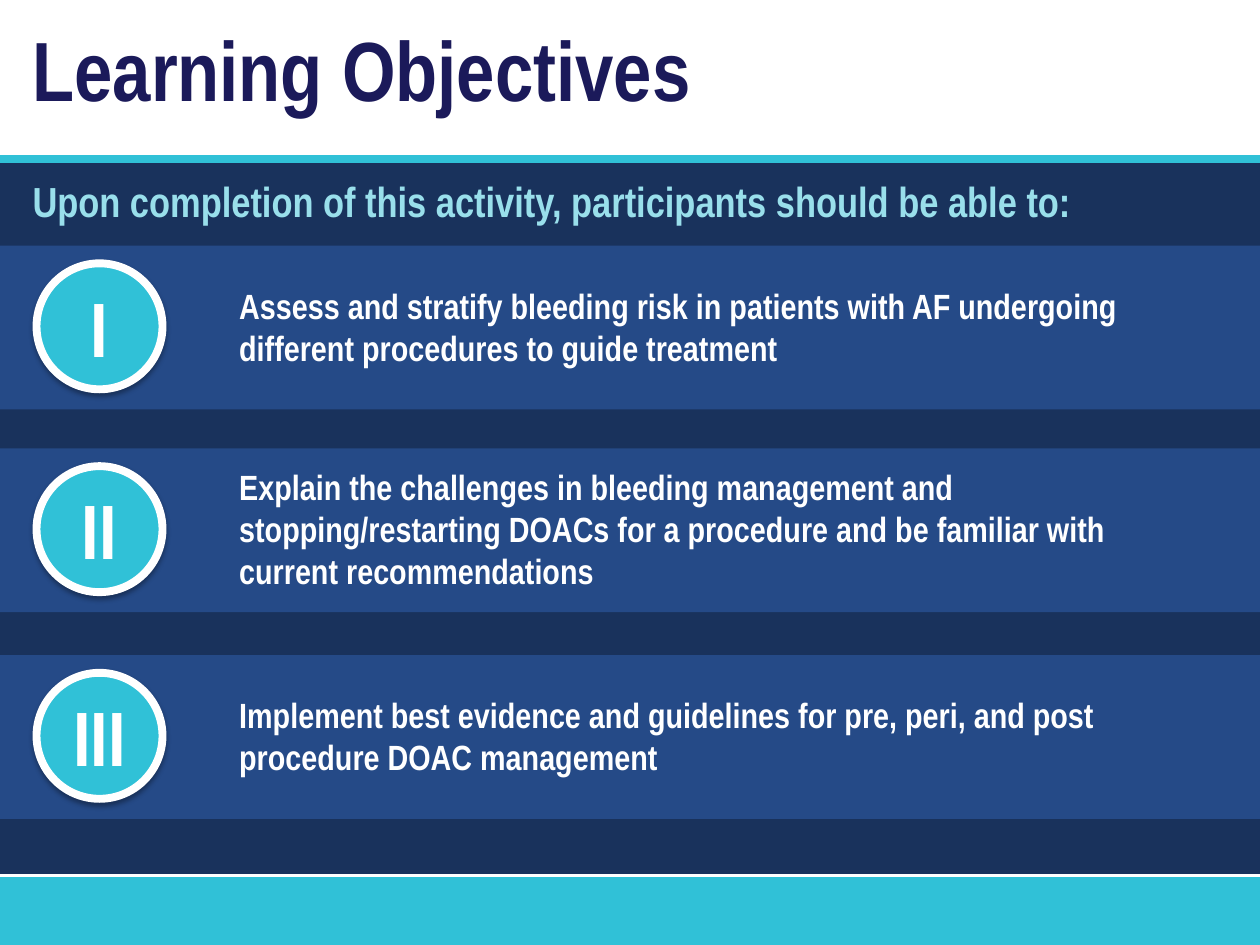
from lxml import etree
from pptx import Presentation
from pptx.dml.color import RGBColor
from pptx.enum.shapes import MSO_CONNECTOR, MSO_SHAPE
from pptx.enum.text import MSO_ANCHOR, MSO_AUTO_SIZE, PP_ALIGN
from pptx.oxml.ns import qn
from pptx.util import Inches, Pt

RECT, CIRCLE = MSO_SHAPE.RECTANGLE, MSO_SHAPE.FLOWCHART_CONNECTOR
STRAIGHT = MSO_CONNECTOR.STRAIGHT
MIDDLE, CENTER = MSO_ANCHOR.MIDDLE, PP_ALIGN.CENTER
GROW = MSO_AUTO_SIZE.SHAPE_TO_FIT_TEXT

# Content
TITLE = "Learning Objectives"
LEAD = "Upon completion of this activity, participants should be able to:"
# numeral, text, band top, text width, text lines
OBJECTIVES = [
    ("I", "Assess and stratify bleeding risk in patients with AF undergoing "
     "different procedures to guide treatment", 1.95, 7.91, 2),
    ("II", "Explain the challenges in bleeding management and "
     "stopping/restarting DOACs for a procedure and be familiar with "
     "current recommendations", 3.56, 7.65, 3),
    ("III", "Implement best evidence and guidelines for pre, peri, and post "
     "procedure DOAC management", 5.2, 7.91, 2),
]

THEME = {
    "font": "Arial Narrow",
    "navy": "19325C", "band": "254A87", "teal": "30C1D7", "white": "FFFFFF",
    "title": "1B1A5A", "lead": "99DFEB",
    "title_size": 48, "numeral_size": 44, "lead_size": 24, "body_size": 20,
}

# Layout in inches
W, H = 10, 7.5
PANEL_TOP, FOOTER_TOP = 1.26, 6.96
BAND_H, CIRCLE_X, CIRCLE_D = 1.3, 0.29, 1
HEAD_X, BODY_X, LINE_H, INSETS = 0.16, 1.8, 0.335, 0.1

prs = Presentation()
prs.slide_width, prs.slide_height = Inches(W), Inches(H)
s = prs.slides.add_slide(prs.slide_layouts[6])


def color(name):
    return RGBColor.from_string(THEME[name])


def box(x, y, w, h):
    return [Inches(v) for v in (x, y, w, h)]


def add_shadow(sp):
    effects = sp._element.spPr.find(qn("a:effectLst"))
    shadow = etree.SubElement(effects, qn("a:outerShdw"), blurRad=str(Pt(3.1)),
                              dist=str(Pt(1.8)), dir="5400000", rotWithShape="0")
    black = etree.SubElement(shadow, qn("a:srgbClr"), val="000000")
    etree.SubElement(black, qn("a:alpha"), val="35000")


def add_block(kind, x, y, w, h, fill, outline=None, shadow=False):
    sp = s.shapes.add_shape(kind, *box(x, y, w, h))
    sp.fill.solid()
    sp.fill.fore_color.rgb = color(fill)
    if outline:
        sp.line.color.rgb = color(outline)
        sp.line.width = Pt(4.5)
    else:
        sp.line.fill.background()
    sp.shadow.inherit = False
    if shadow:
        add_shadow(sp)
    return sp


def add_rule(y, name, width):
    line = s.shapes.add_connector(STRAIGHT, *box(0, y, W, y))
    line.line.color.rgb = color(name)
    line.line.width = Pt(width)
    etree.SubElement(line._element.spPr, qn("a:effectLst"))


def write(tf, text, size, name):
    p = tf.paragraphs[0]
    p.text = text
    p.font.name, p.font.bold = THEME["font"], True
    p.font.size, p.font.color.rgb = Pt(THEME[size]), color(name)
    return p


def add_text(x, y, w, h, text, size, name, grow=True):
    tf = s.shapes.add_textbox(*box(x, y, w, h)).text_frame
    tf.word_wrap = True
    if grow:
        tf.auto_size = GROW
    write(tf, text, size, name)


# Background panel, footer and rules
add_block(RECT, 0, PANEL_TOP, W, FOOTER_TOP - PANEL_TOP, "navy")
add_block(RECT, 0, FOOTER_TOP, W, H - FOOTER_TOP, "teal", shadow=True)
add_rule(PANEL_TOP, "teal", 4.5)
add_rule(FOOTER_TOP - 0.01, "white", 1.5)

# Objectives: each circle and text is centred on its band
for numeral, text, top, width, lines in OBJECTIVES:
    add_block(RECT, 0, top, W, BAND_H, "band")
    middle = top + BAND_H / 2 - 0.01
    sp = add_block(CIRCLE, CIRCLE_X, middle - CIRCLE_D / 2, CIRCLE_D, CIRCLE_D,
                   "teal", "white", shadow=True)
    sp.text_frame.vertical_anchor = MIDDLE
    write(sp.text_frame, numeral, "numeral_size", "white").alignment = CENTER
    height = lines * LINE_H + INSETS
    add_text(BODY_X, middle - height / 2, width, height, text, "body_size", "white")

# Headings
add_text(HEAD_X, 0.09, 8.82, 0.91, TITLE, "title_size", "title")
add_text(HEAD_X, 1.34, 9.49, 0.6, LEAD, "lead_size", "lead", grow=False)

prs.save("out.pptx")
